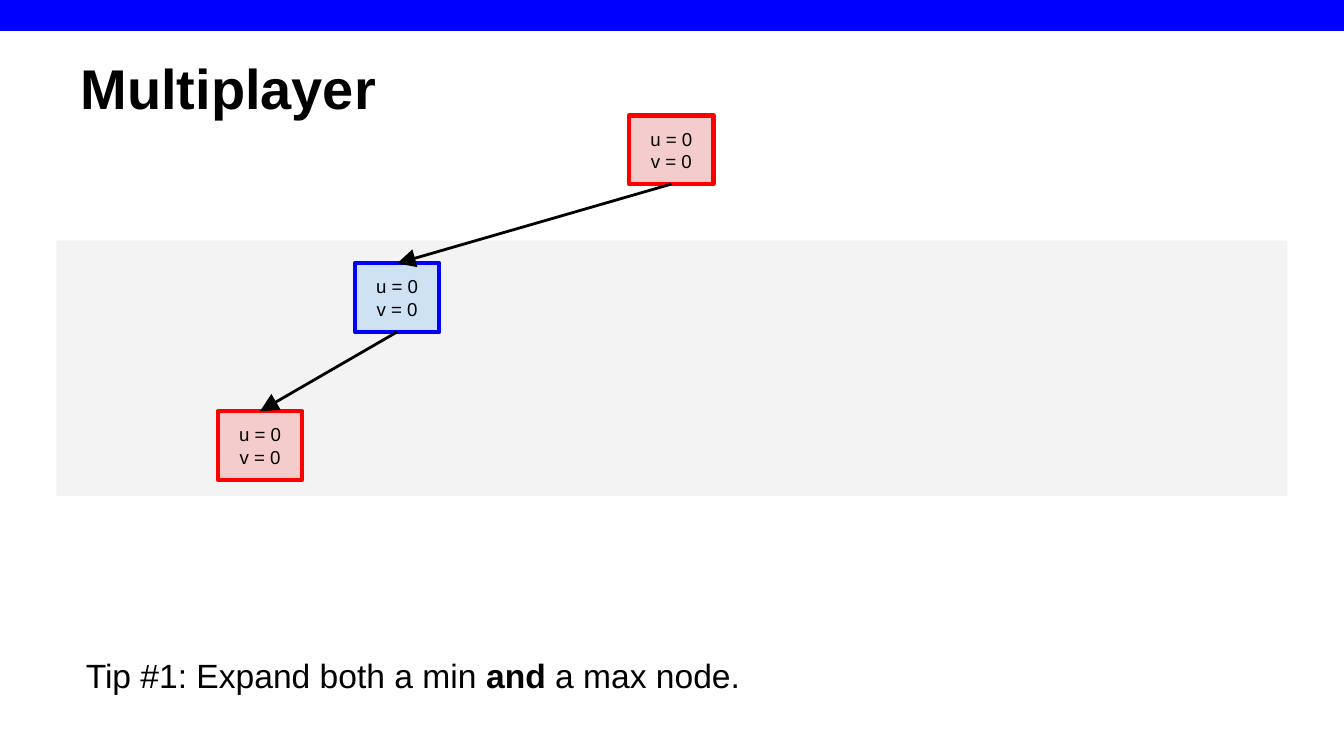
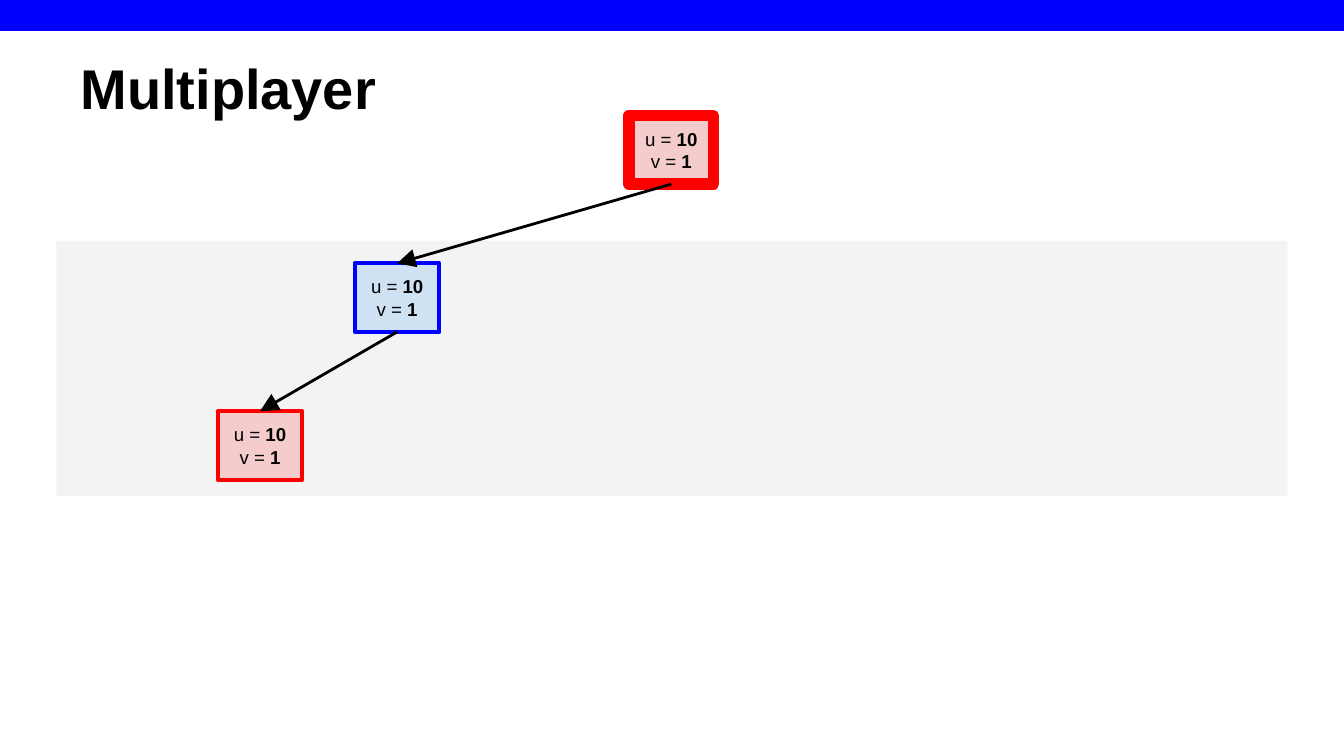
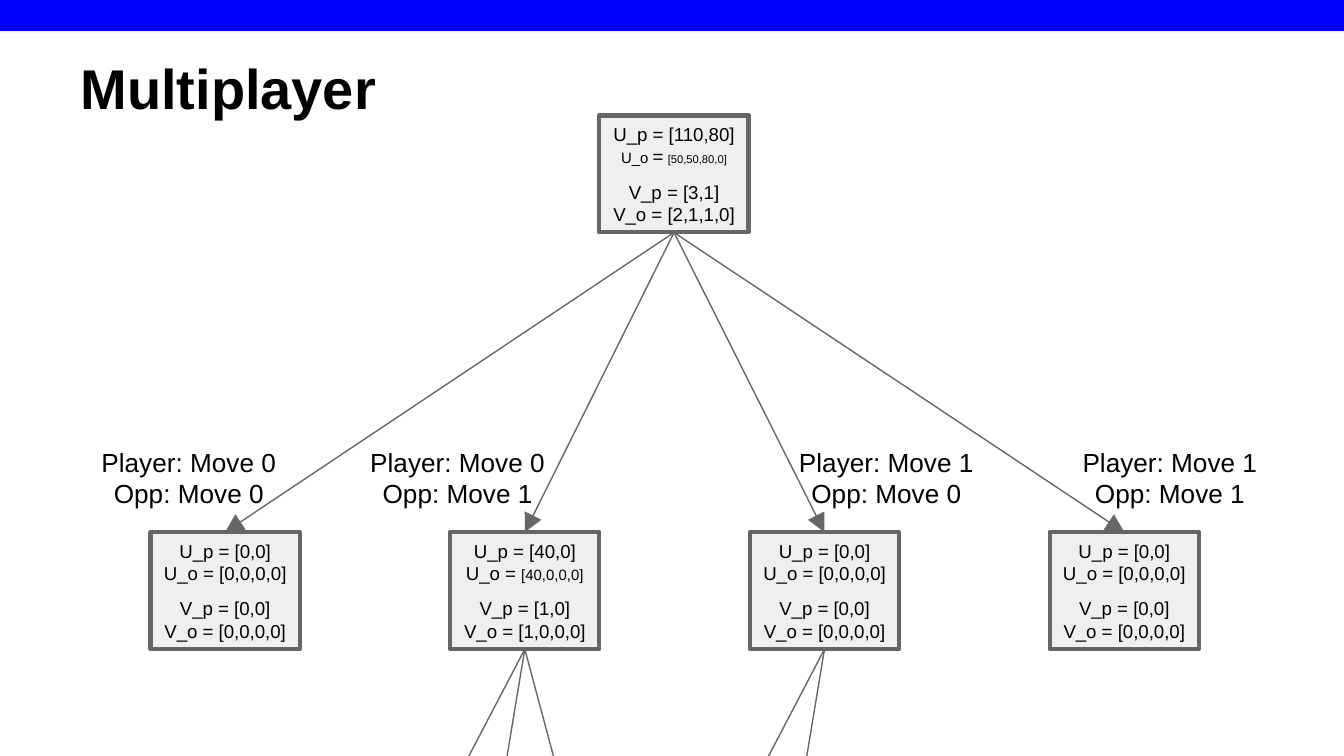
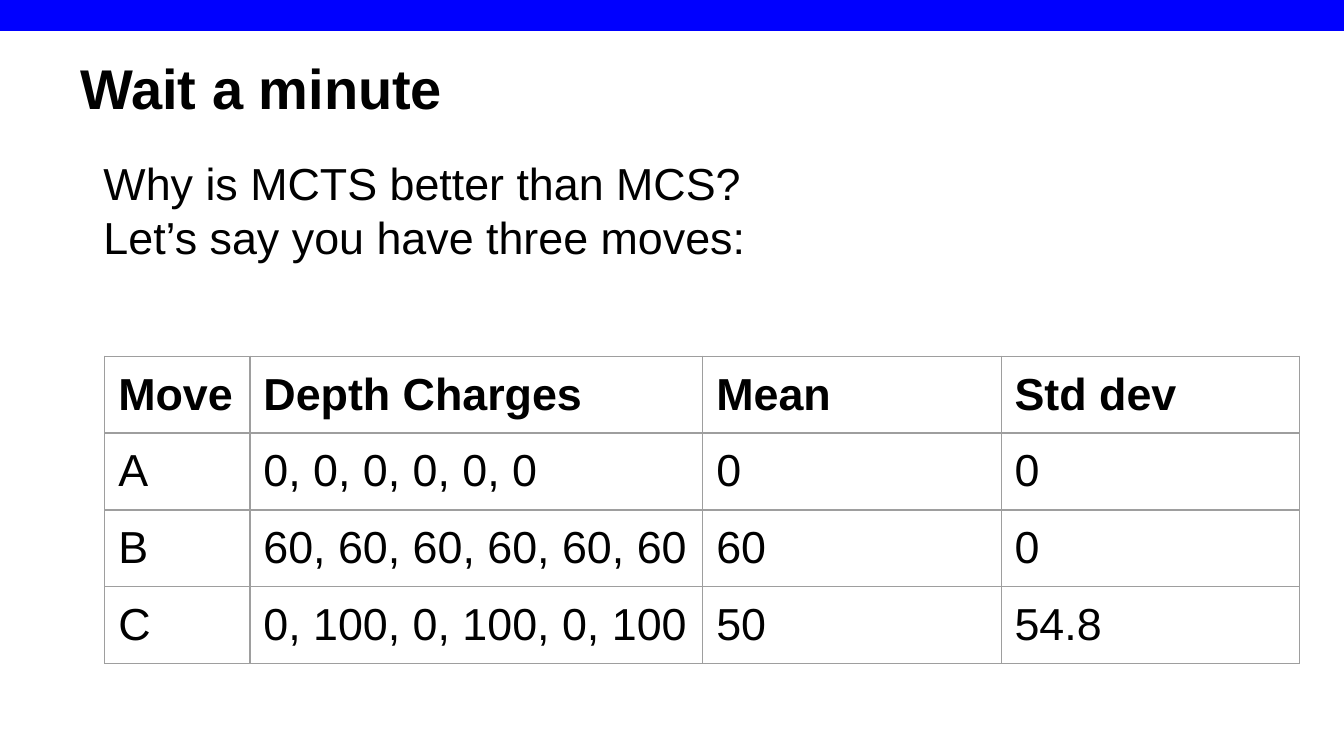
import lxml.etree
import pptx
import pptx.dml.color
import pptx.enum.shapes
import pptx.enum.text
import pptx.oxml.ns
import pptx.util

Inches = pptx.util.Inches
Pt = pptx.util.Pt
qn = pptx.oxml.ns.qn
SHAPE = pptx.enum.shapes.MSO_SHAPE
ALIGN = pptx.enum.text.PP_ALIGN
ANCHOR = pptx.enum.text.MSO_ANCHOR

FONT = "Arial"
BLACK, WHITE, BLUE, RED = "000000", "FFFFFF", "0000FF", "FF0000"
PINK, SKY = "F4CCCC", "CFE2F3"
PALE, MIST, GREY, RULE = "F3F3F3", "EFEFEF", "666666", "9E9E9E"
TITLE_BOX = (0.5, 0.06, 9, 0.94)
BAND_BOX = (0, 0, 10, 0.23)
ZEROS = ("[0,0]", "[0,0,0,0]")


def color(code):
    """Turn a hex string into a colour."""
    return pptx.dml.color.RGBColor.from_string(code)


def inches(box):
    """Convert numbers in inches to lengths."""
    return [Inches(value) for value in box]


def pad(target, inset=0.1, anchor=ANCHOR.TOP):
    """Set the margins and anchor of a text frame or cell."""
    target.margin_left = target.margin_right = Inches(inset)
    target.margin_top = target.margin_bottom = Inches(inset)
    target.vertical_anchor = anchor


def write(frame, lines, size=18, bold=False, align=ALIGN.LEFT, before=None):
    """Write lines made of strings or (text, format) runs."""
    frame.word_wrap = True
    for index, line in enumerate(lines):
        par = frame.paragraphs[0] if index == 0 else frame.add_paragraph()
        par.alignment = align
        par.space_before = Pt((before or {}).get(index, 0))
        for part in [line] if isinstance(line, str) else line:
            text, form = (part, {}) if isinstance(part, str) else part
            run = par.add_run()
            run.text = text
            run.font.name = FONT
            run.font.size = Pt(form.get("size", size))
            run.font.bold = form.get("bold", bold)
            run.font.color.rgb = color(BLACK)


def block(slide, box, fill, edge=None, width=2.25, kind=SHAPE.RECTANGLE):
    """Draw a flat filled shape, outlined if an edge colour is given."""
    shape = slide.shapes.add_shape(kind, *inches(box))
    shape.shadow.inherit = False
    shape.fill.solid()
    shape.fill.fore_color.rgb = color(fill)
    if edge:
        shape.line.color.rgb = color(edge)
        shape.line.width = Pt(width)
    else:
        shape.line.fill.background()
    return shape


def node(slide, box, lines, fill, edge, width=2.25, before=None):
    """Draw a tree node with centred text."""
    shape = block(slide, box, fill, edge, width)
    pad(shape.text_frame, 0.05, ANCHOR.MIDDLE)
    write(shape.text_frame, lines, size=10, align=ALIGN.CENTER, before=before)
    return shape


def label(slide, box, lines, **form):
    """Place a text box."""
    frame = slide.shapes.add_textbox(*inches(box)).text_frame
    pad(frame)
    write(frame, lines, **form)


def arrow(slide, start, end, stroke, width):
    """Draw an arrow from the foot of a node to a node's top or to a point."""
    point = (0, 0) if hasattr(end, "shape_id") else end
    line = slide.shapes.add_connector(
        pptx.enum.shapes.MSO_CONNECTOR.STRAIGHT, 0, 0, *inches(point))
    line.begin_connect(start, 2)
    if end is not point:
        line.end_connect(end, 0)
    line.line.color.rgb = color(stroke)
    line.line.width = Pt(width)
    lxml.etree.SubElement(line.get_or_add_ln(), qn("a:tailEnd"),
                          type="triangle", w="lg", len="lg")
    lxml.etree.SubElement(line.element.spPr, qn("a:effectLst"))


def place(holder, box, lines, anchor=ANCHOR.TOP, **form):
    """Move and fill a placeholder."""
    holder.left, holder.top, holder.width, holder.height = inches(box)
    frame = holder.text_frame
    frame.auto_size = pptx.enum.text.MSO_AUTO_SIZE.NONE
    pad(frame, anchor=anchor)
    write(frame, lines, **form)


def begin(deck, title, layout=5):
    """Add a slide with its title."""
    slide = deck.slides.add_slide(deck.slide_layouts[layout])
    place(slide.shapes.title, TITLE_BOX, [title], ANCHOR.BOTTOM, size=30, bold=True)
    return slide


def brand(deck, slide):
    """Put the top band on the master."""
    band = block(slide, BAND_BOX, BLUE, kind=SHAPE.ROUNDED_RECTANGLE)
    band.adjustments[0] = 0
    deck.slide_master.shapes.element.append(band.element)


def chain(slide, box, lines, root=2.25):
    """Draw a path of three nodes with a panel behind the lower two."""
    left, top = box[:2]
    block(slide, (left, top + 0.93, 9.16, 1.9), PALE)
    styles = [(4.26, PINK, RED, root), (2.22, SKY, BLUE, 2.25), (1.2, PINK, RED, 2.25)]
    nodes = [node(slide, (left + shift, top + 1.1 * level, 0.63, 0.51),
                  lines, fill, edge, width)
             for level, (shift, fill, edge, width) in enumerate(styles)]
    for start, end in zip(nodes, nodes[1:]):
        arrow(slide, start, end, BLACK, 1.5)


def stats(slide, left, top, lines):
    """Draw a node of utilities and visits."""
    return node(slide, (left, top, 1.11, 0.87), lines, MIST, GREY, before={2: 6.9})


def tally(utils, visits):
    """List the four lines of a node, utilities then visits."""
    return [f"U_p = {utils[0]}", ["U_o = ", utils[1]],
            f"V_p = {visits[0]}", f"V_o = {visits[1]}"]


def fan(slide, box):
    """Draw the joint move tree with its labels."""
    left, top = box[:2]
    small = {"size": 8}
    lines = tally(("[110,80]", ""), ("[3,1]", "[2,1,1,0]"))
    lines[1] = [("U_o ", small), "=", (" ", small), ("[50,50,80,0]", {"size": 6})]
    root = stats(slide, left + 3.34, top, lines)
    plain = tally(ZEROS, ZEROS)
    played = tally(("[40,0]", ("[40,0,0,0]", small)), ("[1,0]", "[1,0,0,0]"))
    ends = [(-0.68, 1.31), (-0.23, 1.42), (0.38, 1.4)]
    leaves = [(-0.62, plain, 0), (1.38, played, 3), (4.57, plain, 2), (6.68, plain, 0)]
    for index, (shift, lines, count) in enumerate(leaves):
        x, y = left + 2.23 * index, top + 3.1
        leaf = stats(slide, x, y, lines)
        arrow(slide, root, leaf, GREY, 0.75)
        mine, other = divmod(index, 2)
        label(slide, (left + shift, top + 2.36, 1.81, 0.51),
              [f"Player: Move {mine}", f"Opp: Move {other}"],
              size=14, align=ALIGN.CENTER)
        for across, down in ends[:count]:
            arrow(slide, leaf, (x + 0.55 + across, y + 0.87 + down), GREY, 0.75)


def border(cell):
    """Rule all four sides of a cell."""
    props = cell._tc.get_or_add_tcPr()
    for index, side in enumerate(("lnL", "lnR", "lnT", "lnB")):
        line = lxml.etree.Element(qn("a:" + side), w=str(Pt(0.75)))
        fill = lxml.etree.SubElement(line, qn("a:solidFill"))
        lxml.etree.SubElement(fill, qn("a:srgbClr"), val=RULE)
        props.insert(index, line)


def grid(slide, box, rows, widths):
    """Draw a ruled table with a bold header."""
    table = slide.shapes.add_table(len(rows), len(widths), *inches(box)).table
    table.first_row = table.horz_banding = False
    for column, width in zip(table.columns, widths):
        column.width = Inches(width)
    for y, row in enumerate(rows):
        for x, text in enumerate(row):
            cell = table.cell(y, x)
            pad(cell)
            cell.fill.solid()
            cell.fill.fore_color.rgb = color(WHITE)
            border(cell)
            write(cell.text_frame, [text], size=24, bold=y == 0)


def compare(deck):
    """Build the slide with the question and the table of moves."""
    slide = begin(deck, "Wait a minute", layout=1)
    body = slide.placeholders[1]
    place(body, (0.67, 1.06, 9, 4.07),
          ["Why is MCTS better than MCS?", "Let’s say you have three moves:"],
          size=24)
    for par in body.text_frame.paragraphs:
        props = par._p.get_or_add_pPr()
        props.set("marL", "0")
        props.set("indent", "0")
        lxml.etree.SubElement(props, qn("a:buNone"))
    rows = [("Move", "Depth Charges", "Mean", "Std dev"),
            ("A", "0, 0, 0, 0, 0, 0", "0", "0"),
            ("B", "60, 60, 60, 60, 60, 60", "60", "0"),
            ("C", "0, 100, 0, 100, 0, 100", "50", "54.8")]
    grid(slide, (0.78, 2.65, 8.89, 2.28), rows, (1.08, 3.37, 2.22, 2.22))


def main():
    """Build and save the deck."""
    deck = pptx.Presentation()
    deck.slide_width = Inches(10)
    deck.slide_height = Inches(10) * 9 // 16
    tree = (0.42, 0.86, 9.16, 2.83)

    slide = begin(deck, "Multiplayer")
    brand(deck, slide)
    chain(slide, tree, ["u = 0", "v = 0"])
    label(slide, (0.54, 4.77, 5.5, 0.64),
          [["Tip #1: Expand both a min ", ("and", {"bold": True}), " a max node."]])

    strong = {"bold": True}
    slide = begin(deck, "Multiplayer")
    chain(slide, tree, [["u = ", ("10", strong)], ["v = ", ("1", strong)]], root=6)

    fan(begin(deck, "Multiplayer"), (1.12, 0.86, 7.79, 3.97))
    compare(deck)
    deck.save("out.pptx")


if __name__ == "__main__":
    main()
